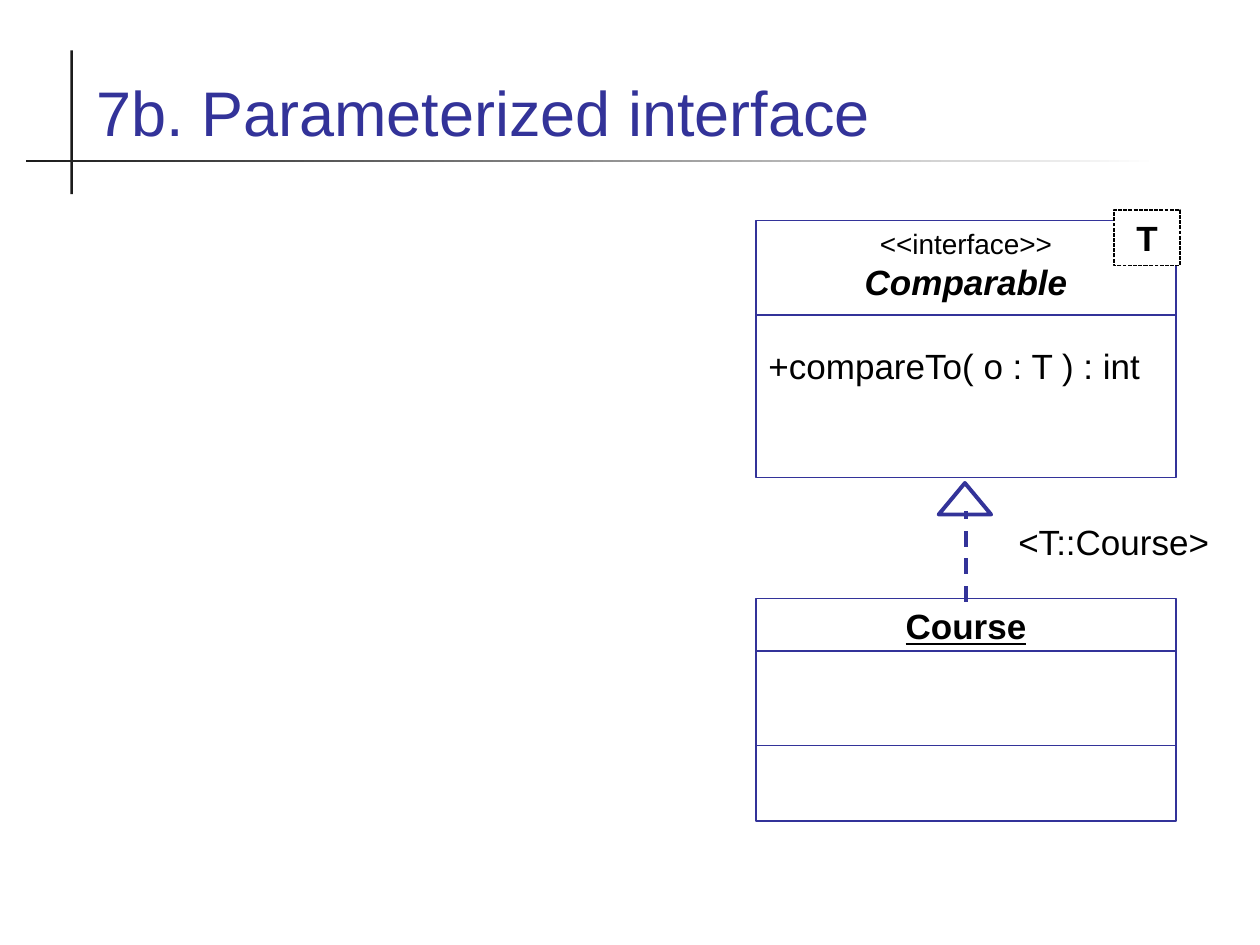
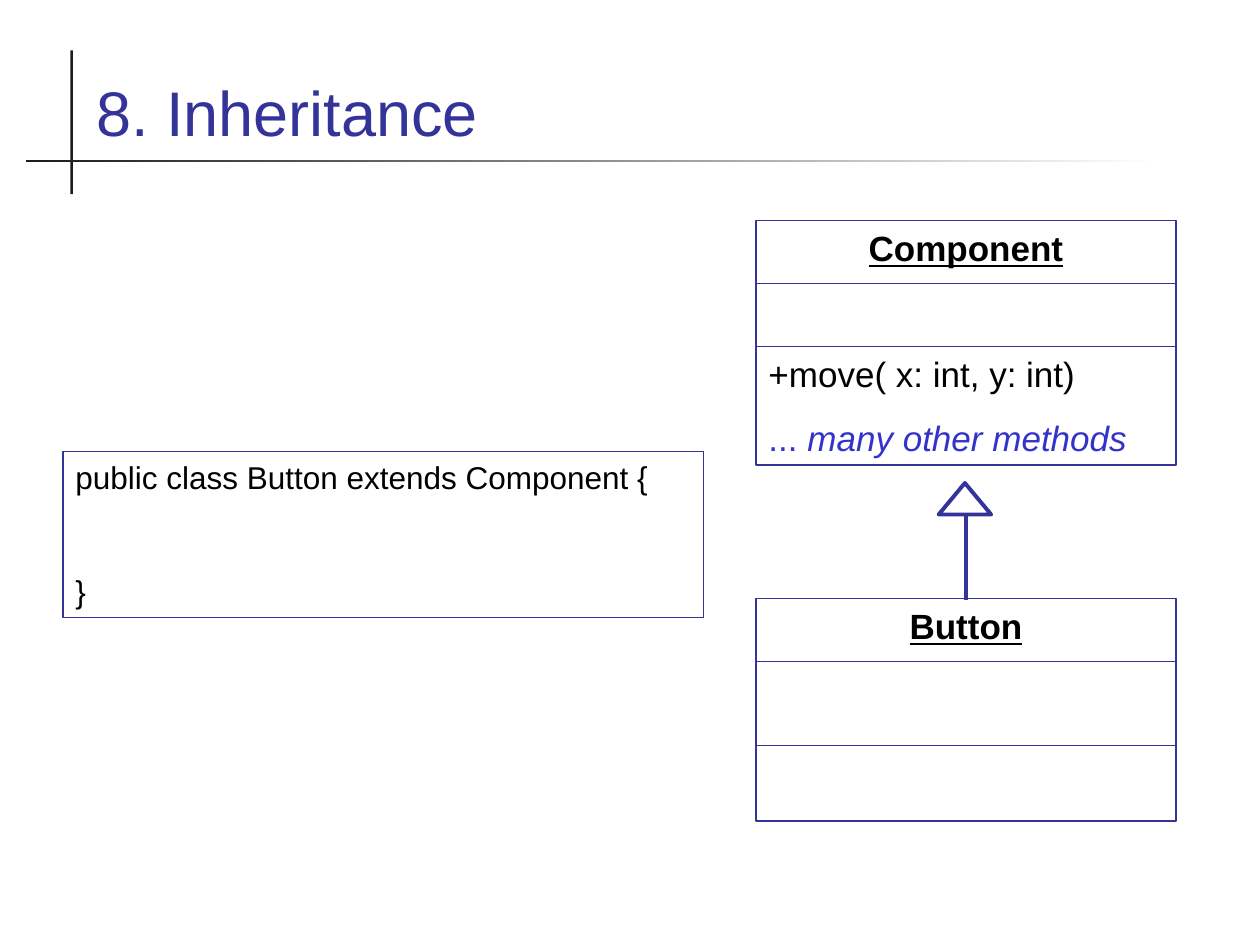
from dataclasses import dataclass

from pptx import Presentation
from pptx import util as u
from pptx.dml.color import RGBColor
from pptx.enum import dml, shapes, text
from pptx.oxml import ns
from lxml import etree

WIDTH, HEIGHT = u.Inches(10), u.Inches(7.5)
COLUMNS, ROWS = 120, 90
FONT = "Arial"
NAVY, BLUE, BLACK, INK, WHITE = "333399", "3333CC", "000000", "1C1C1C", "FFFFFF"
THIN, THICK = 0.75, 2.25
CLASS_LEFT, CLASS_WIDTH = 72, 40
CLASS_MIDDLE = CLASS_LEFT + CLASS_WIDTH / 2


@dataclass(frozen=True)
class Area:
    """A rectangle in grid columns and rows."""
    left: float
    top: float
    width: float
    height: float

    def place(self) -> tuple:
        return column(self.left), row(self.top), column(self.width), row(self.height)


@dataclass(frozen=True)
class ClassBox:
    """A UML class: its outline and the rows of its inner rules."""
    top: float
    height: float
    rules: tuple[float, ...]


def column(count: float) -> int:
    return round(WIDTH * count / COLUMNS)


def row(count: float) -> int:
    return round(HEIGHT * count / ROWS)


def colour(value: str) -> RGBColor:
    return RGBColor.from_string(value)


# Basic pieces
def add_box(page, area: Area, *, kind=shapes.MSO_SHAPE.RECTANGLE, fill=None,
            line=None, weight=THIN, dash=None, wrap=True,
            anchor=text.MSO_ANCHOR.TOP):
    box = page.shapes.add_shape(kind, *area.place())
    box.shadow.inherit = False
    if fill:
        box.fill.solid()
        box.fill.fore_color.rgb = colour(fill)
    else:
        box.fill.background()
    if line:
        box.line.color.rgb = colour(line)
        box.line.width = u.Pt(weight)
        if dash:
            box.line.dash_style = dash
    else:
        box.line.fill.background()
    box.text_frame.word_wrap = wrap
    box.text_frame.vertical_anchor = anchor
    return box


def add_text(box, words: str, *, size=20, color=BLACK, bold=False, italic=False,
             underline=False, align=text.PP_ALIGN.LEFT, before=0, same_line=False):
    """Append a paragraph, or with same_line a span of the last paragraph."""
    frame = box.text_frame
    para = frame.paragraphs[-1]
    if not same_line:
        if para.runs:
            para = frame.add_paragraph()
        para.alignment = align
        para.space_before = u.Pt(before)
        para.line_spacing = u.Pt(size * 1.2)
    span = para.add_run()
    span.text = words
    span.font.name, span.font.size = FONT, u.Pt(size)
    span.font.bold, span.font.italic, span.font.underline = bold, italic, underline
    span.font.color.rgb = colour(color)


def add_line(page, start: tuple[float, float], end: tuple[float, float],
             weight=THIN, dashed=False) -> None:
    line = page.shapes.add_connector(
        shapes.MSO_CONNECTOR.STRAIGHT, column(start[0]), row(start[1]),
        column(end[0]), row(end[1]))
    line.line.color.rgb = colour(NAVY)
    line.line.width = u.Pt(weight)
    if dashed:
        line.line.dash_style = dml.MSO_LINE.DASH
        line.line._get_or_add_ln().set("cap", "sq")
    etree.SubElement(line._element.spPr, ns.qn("a:effectLst"))


# Parts that both slides share
def add_page(deck, title: str):
    page = deck.slides.add_slide(deck.slide_layouts[6])
    add_box(page, Area(6.7, 4.8, 0.25, 13.7), fill=INK)
    band = add_box(page, Area(2.5, 15.2, 107.9, 0.25), fill=INK)
    band.fill.gradient()
    band.fill.gradient_angle = 0
    for stop, shade in zip(band.fill.gradient_stops, (INK, WHITE)):
        stop.color.rgb = colour(shade)
    heading = add_box(page, Area(8, 3.4, 104, 11.4), anchor=text.MSO_ANCHOR.BOTTOM)
    add_text(heading, title, size=36, color=NAVY)
    return page


def add_class(page, uml: ClassBox):
    box = add_box(page, Area(CLASS_LEFT, uml.top, CLASS_WIDTH, uml.height), line=NAVY)
    for level in uml.rules:
        add_line(page, (CLASS_LEFT, level), (CLASS_LEFT + CLASS_WIDTH, level))
    return box


def add_class_name(box, name: str) -> None:
    add_text(box, name, bold=True, underline=True, align=text.PP_ALIGN.CENTER)


def add_parent_arrow(page, dashed=False) -> None:
    add_line(page, (CLASS_MIDDLE, 57.1), (CLASS_MIDDLE, 48.9), THICK, dashed)
    add_box(page, Area(89.4, 46, 5, 3), kind=shapes.MSO_SHAPE.ISOSCELES_TRIANGLE,
            line=NAVY, weight=THICK)


# Slides
def build_interface(deck) -> None:
    page = add_page(deck, "7b. Parameterized interface")
    comparable = add_class(page, ClassBox(21, 24.5, (30,)))
    add_text(comparable, "<<interface>>", size=16, align=text.PP_ALIGN.CENTER)
    add_text(comparable, "Comparable", bold=True, italic=True,
             align=text.PP_ALIGN.CENTER)
    add_text(comparable, "+compareTo( o : T ) : int", before=24)
    add_class_name(add_class(page, ClassBox(57, 21.2, (62, 71))), "Course")
    add_parent_arrow(page, dashed=True)

    parameter = add_box(page, Area(106.1, 20, 6.3, 5.3), fill=WHITE, line=BLACK,
                        dash=dml.MSO_LINE.SQUARE_DOT, wrap=False)
    add_text(parameter, "T", bold=True, align=text.PP_ALIGN.CENTER)
    binding = add_box(page, Area(95.8, 49, 20.9, 5.3), wrap=False)
    add_text(binding, "<T::Course>")


def build_inheritance(deck) -> None:
    page = add_page(deck, "8. Inheritance")
    component = add_class(page, ClassBox(21, 23.3, (27, 33)))
    add_class_name(component, "Component")
    add_text(component, "+move( x: int, y: int)", before=48)
    add_text(component, "... ", color=BLUE, before=12.5)
    add_text(component, "many other methods", color=BLUE, italic=True, same_line=True)
    add_class_name(add_class(page, ClassBox(57, 21.2, (63, 71))), "Button")
    add_parent_arrow(page)

    code = add_box(page, Area(6, 43, 61, 15.8), line=NAVY)
    add_text(code, "public class Button extends Component {", size=18)
    add_text(code, "}", size=18, before=44)


def main() -> None:
    deck = Presentation()
    deck.slide_width, deck.slide_height = WIDTH, HEIGHT
    build_interface(deck)
    build_inheritance(deck)
    deck.save("out.pptx")


if __name__ == "__main__":
    main()
